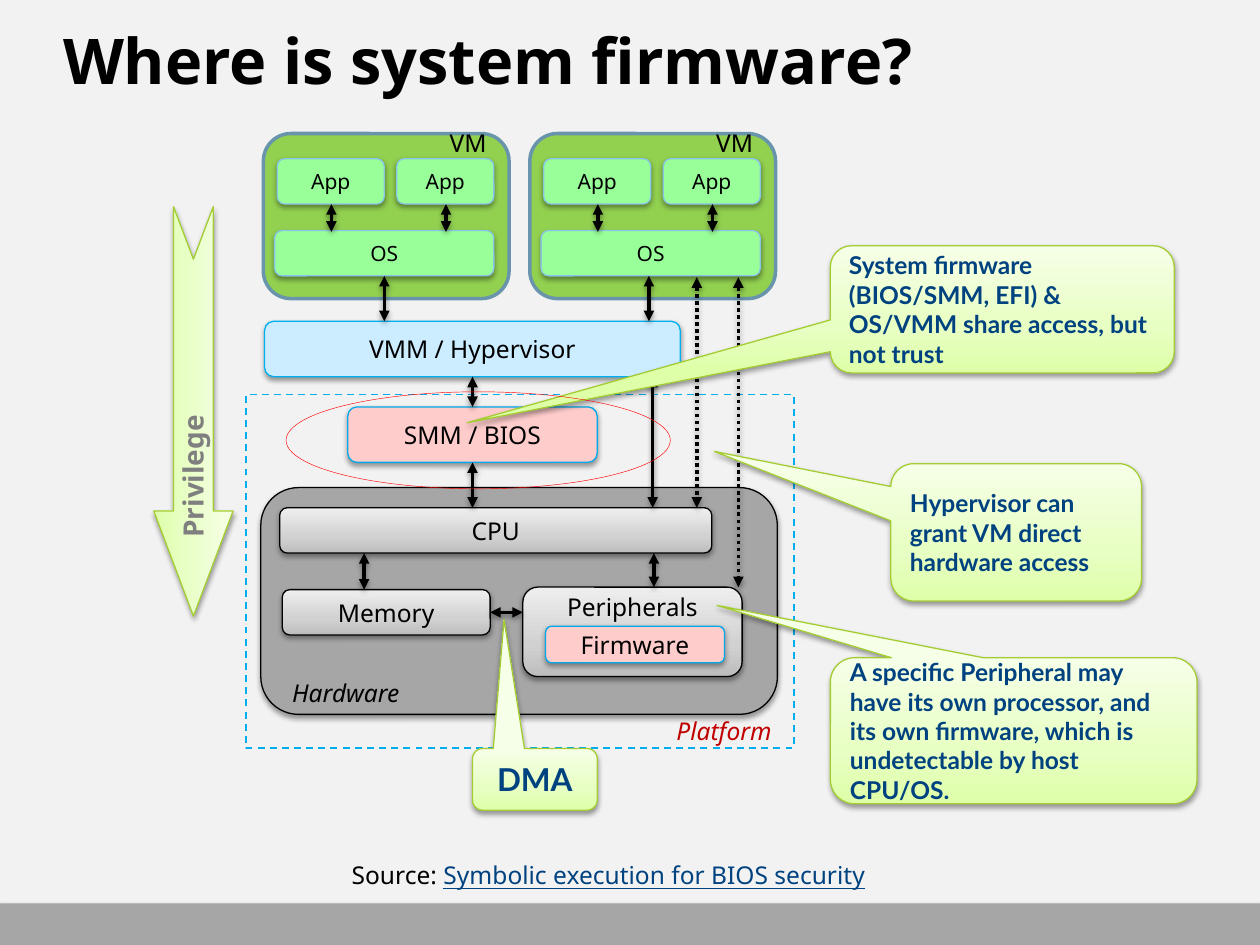
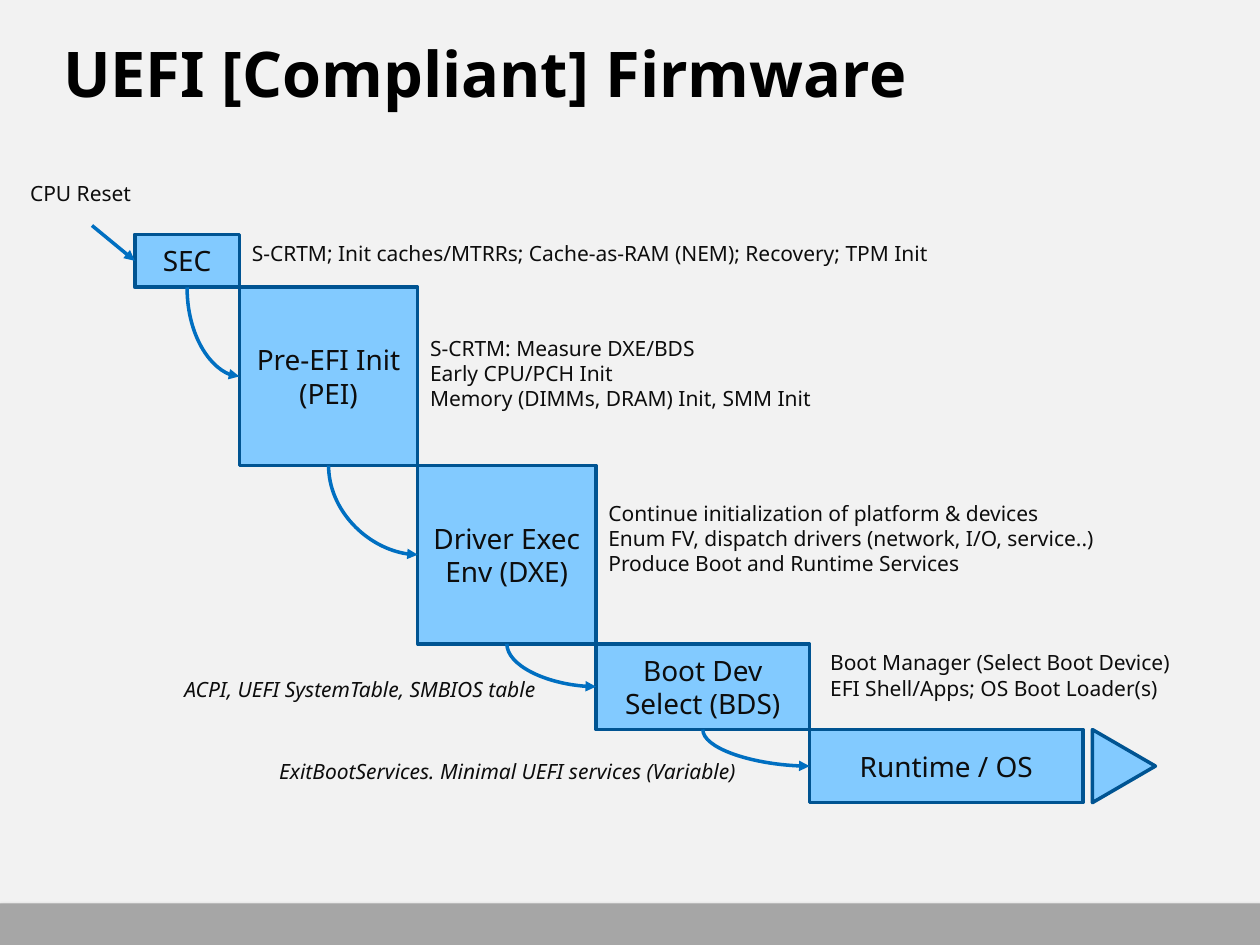
from lxml import etree
from copy import deepcopy
from pptx import Presentation
from pptx.dml.color import RGBColor
from pptx.enum.dml import MSO_LINE
from pptx.enum.shapes import MSO_CONNECTOR, MSO_SHAPE
from pptx.enum.text import MSO_ANCHOR, PP_ALIGN
from pptx.oxml.ns import qn
from pptx.util import Inches, Pt

RECT, ROUND, OVAL = MSO_SHAPE.RECTANGLE, MSO_SHAPE.ROUNDED_RECTANGLE, MSO_SHAPE.OVAL
CALL, ARROW = MSO_SHAPE.ROUNDED_RECTANGULAR_CALLOUT, MSO_SHAPE.NOTCHED_RIGHT_ARROW
CONE = MSO_SHAPE.FLOWCHART_EXTRACT
LEFT, MID, RIGHT = PP_ALIGN.LEFT, PP_ALIGN.CENTER, PP_ALIGN.RIGHT
TOP, CORE = MSO_ANCHOR.TOP, MSO_ANCHOR.MIDDLE
DASH, DOT = MSO_LINE.DASH, MSO_LINE.ROUND_DOT
LINE, CURVE = MSO_CONNECTOR.STRAIGHT, MSO_CONNECTOR.CURVE

COLS, ROWS = 100, 75
CELL = Inches(10) / COLS
HUES = {
    "page": "F2F2F2", "ink": "000000", "soft": "0D0D0D", "grey": "A6A6A6",
    "dim": "7F7F7F", "navy": "004280", "wine": "C00000", "red": "FF0000",
    "pink": "FFCCCC", "sky": "00AAEA", "cyan": "00AEEF", "aqua": "00B0F0",
    "ice": "CCECFF", "green": "92D050", "steel": "6894AC", "mint": "99FF99",
    "mist": "88C4E5", "lime": "A4CD34", "blue": "82CAFF", "deep": "005492",
    "flow": "006FC1",
}
FADES = {
    "metal": ((0, "BDBDBD"), (0.35, "D1D1D1"), (1, "EEEEEE")),
    "leaf": ((0, "DEFFA8"), (0.35, "E7FFC2"), (1, "F6FFE8")),
}
LOOKS = {
    "band": dict(form=RECT, fill="grey", drop=35),
    "zone": dict(form=RECT, edge="cyan", wide=1, dash=DASH),
    "base": dict(form=ROUND, fill="grey", edge="ink", drop=38),
    "metal": dict(form=ROUND, fill="metal", edge="ink", drop=38),
    "pink": dict(form=ROUND, fill="pink", edge="sky", drop=38),
    "ice": dict(form=ROUND, fill="ice", edge="aqua", drop=38),
    "guest": dict(form=ROUND, fill="green", edge="steel", wide=2),
    "mint": dict(form=ROUND, fill="mint", edge="mist", drop=38, font={"size": 12}),
    "arrow": dict(form=ARROW, fill="leaf", edge="lime", drop=38),
    "call": dict(form=CALL, fill="leaf", edge="lime", drop=38,
                 font={"hue": "navy", "name": "Lato", "bold": True, "align": LEFT}),
    "ring": dict(form=OVAL, edge="red", wide=0.25),
    "stage": dict(form=RECT, fill="blue", edge="deep", wide=2,
                  font={"size": 16, "hue": "soft"}),
    "cone": dict(form=CONE, fill="blue", edge="deep", wide=2),
}
NOTE = {"size": 12, "hue": "soft"}


def tint(key):
    """Return the colour that a key names."""
    return RGBColor.from_string(HUES[key])


def place(box, x, y, w, h):
    """Return a box inside a region, in grid cells."""
    return box[0] + x, box[1] + y, w, h


def span(box):
    """Turn grid cells into lengths."""
    return [round(n * CELL) for n in box]


def style(run, size=14, hue="ink", name="Noto Sans", **more):
    """Format one run."""
    for key, value in dict(more, size=Pt(size), name=name).items():
        setattr(run.font, key, value)
    run.font.color.rgb = tint(hue)


def write(frame, text, align=LEFT, **font):
    """Fill a frame with one paragraph for each line."""
    for i, line in enumerate(text.split("\n")):
        para = frame.add_paragraph() if i else frame.paragraphs[0]
        para.alignment = align
        run = para.add_run()
        run.text = line
        style(run, **font)


def drop(shape, alpha):
    """Give a shape a soft shadow, or none for zero."""
    fx = etree.SubElement(shape.element.spPr, qn("a:effectLst"))
    if alpha:
        cast = etree.SubElement(fx, qn("a:outerShdw"), blurRad=str(Pt(3.1)),
                                dist=str(Pt(1.6)), dir="5400000", rotWithShape="0")
        hue = etree.SubElement(cast, qn("a:srgbClr"), val=HUES["ink"])
        etree.SubElement(hue, qn("a:alpha"), val=str(alpha * 1000))


def paint(fill, key, shape):
    """Fill a shape with nothing, a colour or a fade."""
    if key is None:
        fill.background()
    elif key in FADES:
        fill.gradient()
        fill.gradient_angle = 90
        stops = shape.element.spPr.find(".//" + qn("a:gsLst"))
        stops.append(deepcopy(stops[-1]))
        for stop, (pos, code) in zip(fill.gradient_stops, FADES[key]):
            stop.color.rgb = RGBColor.from_string(code)
            stop.position = pos
    else:
        fill.solid()
        fill.fore_color.rgb = tint(key)


def part(slide, box, kind, text="", anchor=CORE, turn=0, bend=(), **font):
    """Draw one shape of a named kind."""
    look = LOOKS[kind]
    shape = slide.shapes.add_shape(look["form"], *span(box))
    shape.rotation = turn
    for i, value in enumerate(bend):
        shape.adjustments[i] = value
    paint(shape.fill, look.get("fill"), shape)
    paint(shape.line.fill, look.get("edge"), shape)
    if "edge" in look:
        shape.line.width = Pt(look.get("wide", 0.75))
    if "dash" in look:
        shape.line.dash_style = look["dash"]
    drop(shape, look.get("drop", 0))
    if text:
        shape.text_frame.vertical_anchor = anchor
        if anchor == TOP:
            shape.text_frame.margin_top = 0
        write(shape.text_frame, text, **{"align": MID, **look.get("font", {}), **font})
    return shape


def label(slide, box, text, turn=0, **font):
    """Place a plain wrapped text."""
    shape = slide.shapes.add_textbox(*span(box))
    shape.rotation = turn
    shape.text_frame.word_wrap = True
    write(shape.text_frame, text, **font)
    return shape.text_frame


def trim(wire, hue, ends, alpha=0):
    """Set the line, arrowheads and shadow of a connector."""
    wire.line.color.rgb = tint(hue)
    wire.line.width = Pt(2)
    for end in ends:
        etree.SubElement(wire.element.spPr.get_or_add_ln(), qn("a:" + end), type="triangle")
    drop(wire, alpha)


def link(slide, box, x, y, x2, y2, dash=None):
    """Join two points of a region with a double arrow."""
    ends = box[0] + x, box[1] + y, box[0] + x2, box[1] + y2
    wire = slide.shapes.add_connector(LINE, *span(ends))
    if dash:
        wire.line.dash_style = dash
    trim(wire, "ink", ("headEnd", "tailEnd"), 38)


def swoop(slide, x, y, x2, y2):
    """Curve down from one point and right into the next."""
    mx, my, dx, dy = (x + x2) / 2, (y + y2) / 2, (x2 - x) / 2, (y2 - y) / 2
    wire = slide.shapes.add_connector(CURVE, *span((mx - dy, my - dx, mx + dy, my + dx)))
    spot = wire.element.spPr.find(qn("a:xfrm"))
    spot.set("rot", "16200000")
    spot.set("flipH", "1")
    wire.element.spPr.find(qn("a:prstGeom")).set("prst", "curvedConnector2")
    trim(wire, "flow", ("tailEnd",))


def page(deck, text, box):
    """Add a slide with a formatted title."""
    slide = deck.slides.add_slide(deck.slide_layouts[5])
    title = slide.shapes.title
    title.left, title.top, title.width, title.height = span(box)
    frame = title.text_frame
    frame.vertical_anchor = TOP
    for side in ("left", "top", "right", "bottom"):
        setattr(frame, "margin_" + side, 0)
    write(frame, text, size=36, bold=True)
    return slide


def base(deck, slide):
    """Give the master its background and foot band."""
    master = deck.slide_master
    master.background.fill.solid()
    master.background.fill.fore_color.rgb = tint("page")
    band = part(slide, (0, ROWS - 3.3, COLS, 3.3), "band")
    master.shapes.element.insert(2, band.element)


def host(slide, box):
    """Draw the platform with its hardware."""
    part(slide, box, "zone")
    part(slide, place(box, 1.2, 7.4, 41, 18), "base")
    for cell, kind, text, anchor in (
        ((8.1, 1, 19.8, 4.4), "pink", "SMM / BIOS", CORE),
        ((2.7, 9, 34.3, 3.6), "metal", "CPU", CORE),
        ((2.9, 15.5, 16.5, 3.6), "metal", "Memory", CORE),
        ((22, 15.3, 17.4, 7.1), "metal", "Peripherals", TOP),
        ((23.8, 18.4, 14.2, 2.9), "pink", "Firmware", CORE),
    ):
        part(slide, place(box, *cell), kind, text, anchor)
    label(slide, place(box, 2.7, 22, 13.4, 3.4), "Hardware", italic=True)
    label(slide, place(box, 33.2, 25, 10.8, 3.4), "Platform", italic=True, hue="wine")
    for ends in ((18, 5.4, 18, 9), (9.4, 12.6, 9.4, 15.5),
                 (32.4, 12.6, 32.4, 15.3), (19.4, 17.3, 22, 17.3)):
        link(slide, box, *ends)


def guest(slide, box):
    """Draw one virtual machine."""
    part(slide, box, "guest")
    for cell, text in (((1.1, 2, 8.5, 3.6), "App"), ((10.6, 2, 7.7, 3.6), "App"),
                       ((0.9, 7.7, 17.4, 3.6), "OS")):
        part(slide, place(box, *cell), "mint", text)
    for x in (5.4, 14.5):
        link(slide, box, x, 5.6, x, 7.8)
    label(slide, place(box, 13.8, -0.9, 5.5, 3.4), "VM")


def hyper(slide, box):
    """Draw the hypervisor and the links that cross layers."""
    part(slide, box, "ice", "VMM / Hypervisor")
    for x, y, y2, dash in ((9.5, -3.6, 0, None), (30.5, -3.6, 0, None),
                           (16.5, 4.4, 6.8, None), (30.8, 4.4, 14.8, None),
                           (34.3, -3.5, 14.8, DOT), (37.6, -3.5, 21.1, DOT)):
        link(slide, box, x, y, x, y2, dash)


def rank(slide, box):
    """Draw the privilege arrow, turned to point down."""
    x, y, w, h = box
    part(slide, (x + (w - h) / 2, y + (h - w) / 2, h, w), "arrow", turn=90, bend=(0.5, 1.326))
    label(slide, place(box, -3.6, 18.7, 13.4, 3.7), "Privilege", turn=270,
          size=16, hue="dim", bold=True)


def calls(slide, box):
    """Place the callouts over the diagram."""
    for cell, tip, text, font in (
        ((28.4, 0, 27.3, 10.1), (-1.556, 0.892),
         "System firmware (BIOS/SMM, EFI) & OS/VMM share access, but not trust", {}),
        ((33.2, 17.3, 19.9, 10.9), (-1.204, -0.589),
         "Hypervisor can grant VM direct hardware access", {}),
        ((0, 39.9, 9.9, 4.9), (-0.247, -2.586), "DMA", {"size": 18, "align": MID}),
        ((28.4, 32.7, 29.1, 11.6), (-0.809, -0.858),
         "A specific Peripheral may have its own processor, and its own firmware, "
         "which is undetectable by host CPU/OS.", {}),
    ):
        part(slide, place(box, *cell), "call", text, bend=(*tip, 0.167), **font)


def credit(slide, box):
    """Write the source line."""
    frame = label(slide, box, "Source: ", align=MID)
    run = frame.paragraphs[0].add_run()
    run.text = "Symbolic execution for BIOS security"
    style(run, hue="navy", underline=True)


def stairs(slide, box):
    """Step the boot stages down from the corner of a box."""
    x, y = box[:2]
    last = None
    for w, h, text, note, cell in (
        (8.3, 4.2, "SEC",
         "S-CRTM; Init caches/MTRRs; Cache-as-RAM (NEM); Recovery; TPM Init", (0, 0, 68.5, 3)),
        (14.15, 14.15, "Pre-EFI Init (PEI)",
         "S-CRTM: Measure DXE/BDS\nEarly CPU/PCH Init\nMemory (DIMMs, DRAM) Init, SMM Init",
         (0, 3.3, 51.7, 7.1)),
        (14.15, 14.15, "Driver Exec Env (DXE)",
         "Continue initialization of platform & devices\n"
         "Enum FV, dispatch drivers (network, I/O, service..)\n"
         "Produce Boot and Runtime Services", (0, 2.25, 49, 7.1)),
        (16.95, 6.8, "Boot Dev Select (BDS)",
         "Boot Manager (Select Boot Device)\nEFI Shell/Apps; OS Boot Loader(s)", (0.65, 0, 35.1, 5)),
        (21.7, 5.8, "Runtime / OS", None, None),
    ):
        part(slide, (x, y, w, h), "stage", text)
        if note:
            label(slide, place((x + w, y), *cell), note, **NOTE)
        if last:
            swoop(slide, *last, x, y + h / 2)
        last = x + w / 2, y + h
        x, y = x + w, y + h
    part(slide, (x + 0.35, y - 5.4, 5.8, 5), "cone", turn=90)


def entry(slide, box):
    """Show the reset that enters the first stage."""
    x, y, w, h = box
    label(slide, (x, y, w, 3), "CPU Reset", **NOTE)
    wire = slide.shapes.add_connector(LINE, *span((x + 5.9, y + 4.1, x + 9.3, y + h)))
    trim(wire, "flow", ("tailEnd",))


def asides(slide, box):
    """Write the notes beside the last two steps."""
    for cell, text in (((0, 0, 43.5, 3), "ACPI, UEFI SystemTable, SMBIOS table"),
                       ((6.9, 6.5, 52.5, 3), "ExitBootServices. Minimal UEFI services (Variable)")):
        label(slide, place(box, *cell), text, align=RIGHT, italic=True, **NOTE)


def main():
    """Build and save the deck."""
    deck = Presentation()
    deck.slide_width, deck.slide_height = span((COLS, ROWS))

    where = page(deck, "Where is system firmware?", (5, 1.7, 90, 9.7))
    base(deck, where)
    host(where, (19.5, 31.3, 43.5, 28.1))
    for x in (20.9, 42.05):
        guest(where, (x, 10.6, 19.5, 13.1))
    hyper(where, (21, 25.5, 33, 4.4))
    rank(where, (12.2, 16.4, 6.3, 32.5))
    calls(where, (37.5, 19.5, 57.5, 44.8))
    part(where, (22.7, 31.1, 30.5, 7.7), "ring")
    credit(where, (23.3, 67.8, 50, 3.4))

    boot = page(deck, "UEFI [Compliant] Firmware", (5, 2.7, 90, 10.8))
    stairs(boot, (10.7, 18.6, 81.4, 45.1))
    entry(boot, (1.4, 13.8, 15, 6.9))
    asides(boot, (0, 53.2, 59.4, 9.5))
    deck.save("out.pptx")


main()
